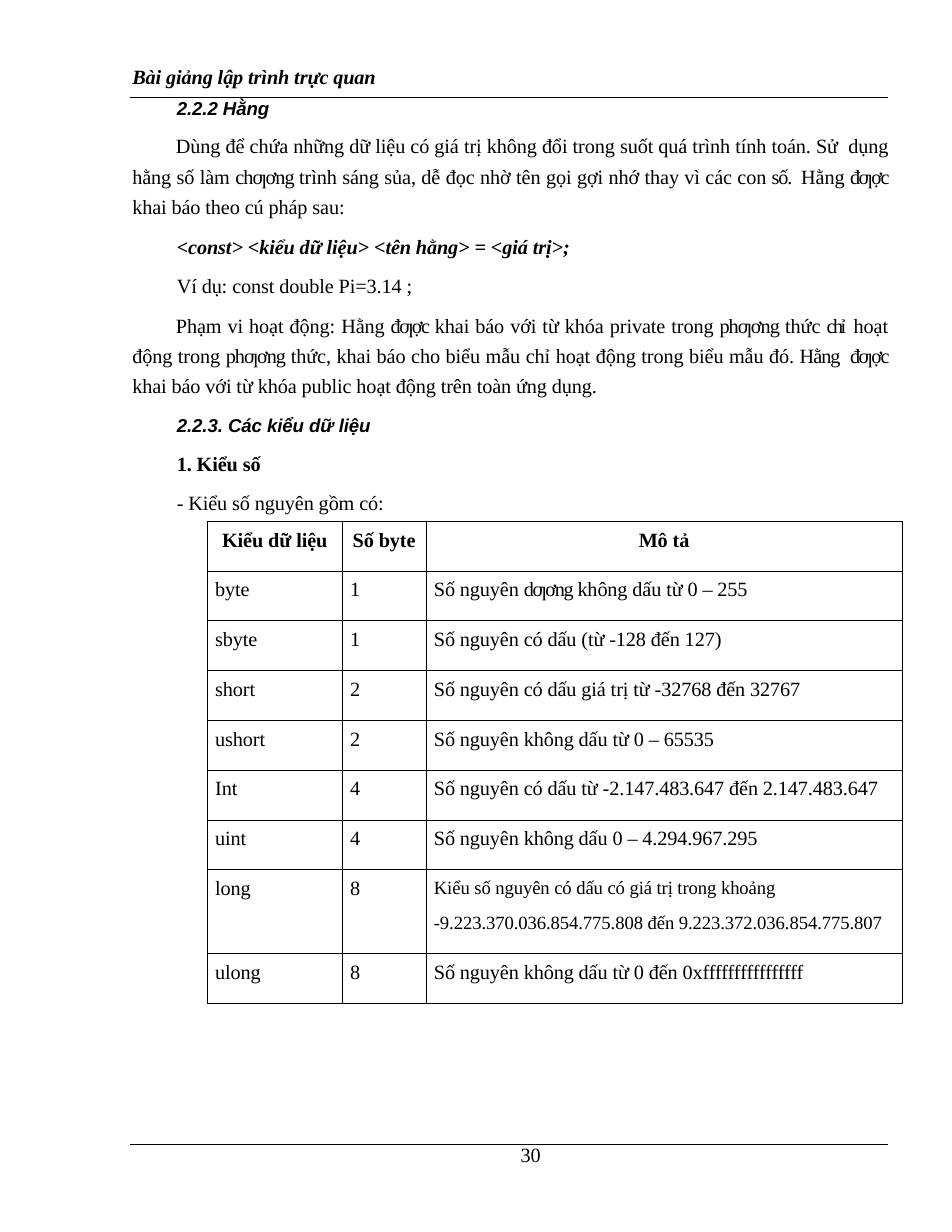
from lxml import etree
from pptx import Presentation
from pptx.dml.color import RGBColor
from pptx.enum.shapes import MSO_CONNECTOR
from pptx.enum.text import MSO_ANCHOR, MSO_AUTO_SIZE, PP_ALIGN
from pptx.oxml.ns import qn
from pptx.util import Cm, Pt

LEFT, CENTER, JUSTIFY = PP_ALIGN.LEFT, PP_ALIGN.CENTER, PP_ALIGN.JUSTIFY
TOP, NO_FIT = MSO_ANCHOR.TOP, MSO_AUTO_SIZE.NONE
STRAIGHT = MSO_CONNECTOR.STRAIGHT
COLORS = {"ink": "000000"}
INK = RGBColor.from_string(COLORS["ink"])
SERIF = {"name": "Times New Roman", "size": Pt(13), "bold": False, "italic": False}
BOLD = {**SERIF, "bold": True}
BOLD_ITALIC = {**BOLD, "italic": True}
SMALL = {**SERIF, "size": Pt(12)}
HEADING = {"name": "Arial", "size": Pt(12), "bold": True, "italic": True}
TRACKING = {"đƣợc ": -90, "chƣơng ": -60, "phƣơng ": -60, "dƣơng ": -80,
            "chỉ  ": -160, "số.  ": -70, "Hằng  ": -60}


def write(p, text, font, align=LEFT, before=0, spacing=1.0, margin=0, indent=0):
    pPr = p._p.get_or_add_pPr()
    pPr.set("marL", str(Cm(margin)))
    pPr.set("indent", str(Cm(indent)))
    etree.SubElement(pPr, qn("a:buNone"))
    layout = {"alignment": align, "space_before": Pt(before),
              "space_after": Pt(0), "line_spacing": spacing}
    for key, value in layout.items():
        setattr(p, key, value)
    for part in text.split("|"):
        r = p.add_run()
        r.text = part
        for key, value in font.items():
            setattr(r.font, key, value)
        r.font.color.rgb = INK
        r._r.get_or_add_rPr().set("spc", str(TRACKING.get(part, -5)))


def place(sp, left, top, width, height, inset_top=0):
    sp.left, sp.top, sp.width, sp.height = Cm(left), Cm(top), Cm(width), Cm(height)
    tf = sp.text_frame
    settings = {"margin_left": 0, "margin_right": 0, "margin_bottom": 0,
                "margin_top": Cm(inset_top), "word_wrap": True,
                "auto_size": NO_FIT, "vertical_anchor": TOP}
    for key, value in settings.items():
        setattr(tf, key, value)
    return tf


prs = Presentation()
prs.slide_width, prs.slide_height = Cm(21.59), Cm(27.94)
s = prs.slides.add_slide(prs.slide_layouts[1])

tf = place(s.shapes.title, 2.97, 1.22, 17.17, 0.95, 0.23)
write(tf.paragraphs[0], "Bài giảng lập trình trực quan", BOLD_ITALIC, margin=0.03)

LINE = {"margin": 1.04}
PROSE = {"margin": 0.03, "indent": 0.99, "spacing": 1.25, "align": JUSTIFY}
content = [
    ("2.2.2 Hằng", HEADING, 0, LINE),
    ("Dùng để chứa những dữ liệu có giá trị không đổi trong suốt quá trình tính toán. "
     "Sử  dụng hằng số làm |chƣơng |trình sáng sủa, dễ đọc nhờ tên gọi gợi nhớ thay vì "
     "các con |số.  |Hằng |đƣợc |khai báo theo cú pháp sau:", SERIF, 5.4, PROSE),
    ("<const> <kiểu dữ liệu> <tên hằng> = <giá trị>;", BOLD_ITALIC, 10.2, LINE),
    ("Ví dụ: const double Pi=3.14 ;", SERIF, 9.5, LINE),
    ("Phạm vi hoạt động: Hằng |đƣợc |khai báo với từ khóa private trong |phƣơng |thức "
     "|chỉ  |hoạt động trong |phƣơng |thức, khai báo cho biểu mẫu chỉ hoạt động trong "
     "biểu mẫu đó. |Hằng  |đƣợc |khai báo với từ khóa public hoạt động trên toàn ứng "
     "dụng.", SERIF, 6, PROSE),
    ("2.2.3. Các kiểu dữ liệu", HEADING, 10.2, LINE),
    ("1. Kiểu số", BOLD, 9.6, LINE),
    ("- Kiểu số nguyên gồm có:", SERIF, 9.4, LINE),
]
tf = place(s.placeholders[1], 2.97, 2.19, 17.17, 9.5)
for i, (text, font, before, layout) in enumerate(content):
    p = tf.add_paragraph() if i else tf.paragraphs[0]
    write(p, text, font, before=before, **layout)

for y in (2.22, 25.95):
    rule = s.shapes.add_connector(STRAIGHT, Cm(2.95), Cm(y), Cm(20.14), Cm(y))
    rule.line.color.rgb = INK
    rule.line.width = Pt(0.5)
    etree.SubElement(rule._element.spPr, qn("a:effectLst"))

rows = [
    ("Kiểu dữ liệu", "Số byte", "Mô tả"),
    ("byte", "1", "Số nguyên |dƣơng |không dấu từ 0 – 255"),
    ("sbyte", "1", "Số nguyên có dấu (từ -128 đến 127)"),
    ("short", "2", "Số nguyên có dấu giá trị từ -32768 đến 32767"),
    ("ushort", "2", "Số nguyên không dấu từ 0 – 65535"),
    ("Int", "4", "Số nguyên có dấu từ -2.147.483.647 đến 2.147.483.647"),
    ("uint", "4", "Số nguyên không dấu 0 – 4.294.967.295"),
    ("long", "8", "Kiểu số nguyên có dấu có giá trị trong khoảng\n"
                  "-9.223.370.036.854.775.808 đến 9.223.372.036.854.775.807"),
    ("ulong", "8", "Số nguyên không dấu từ 0 đến 0xffffffffffffffff"),
]
widths = [3.06, 1.9, 10.8]
heights = [1.9 if "\n" in row[2] else 1.13 for row in rows]
table = s.shapes.add_table(len(rows), len(widths), Cm(4.7), Cm(11.82),
                           Cm(sum(widths)), Cm(sum(heights))).table
table.first_row = table.horz_banding = False
for column, width in zip(table.columns, widths):
    column.width = Cm(width)
for i, (row, height) in enumerate(zip(rows, heights)):
    table.rows[i].height = Cm(height)
    for j, text in enumerate(row):
        cell = table.cell(i, j)
        tcPr = cell._tc.get_or_add_tcPr()
        for side in ("lnL", "lnR", "lnT", "lnB"):
            ln = etree.SubElement(tcPr, qn(f"a:{side}"), w=str(Pt(0.5)))
            fill = etree.SubElement(ln, qn("a:solidFill"))
            etree.SubElement(fill, qn("a:srgbClr"), val=COLORS["ink"])
        cell.fill.background()
        margins = {"margin_left": Cm(0.18 if i else 0), "margin_top": Cm(0.18),
                   "margin_right": 0, "margin_bottom": 0}
        for key, value in margins.items():
            setattr(cell, key, value)
        lines = text.split("\n")
        font = BOLD if i == 0 else SMALL if len(lines) > 1 else SERIF
        for n, line in enumerate(lines):
            p = cell.text_frame.add_paragraph() if n else cell.text_frame.paragraphs[0]
            write(p, line, font, LEFT if i else CENTER, before=9.5 if n else 0)

sp = s.shapes.add_textbox(0, 0, 0, 0)
tf = place(sp, 11.71, 25.91, 0.66, 0.58)
write(tf.paragraphs[0], "30", SERIF, spacing=Pt(15.2), margin=0.1)

prs.save("out.pptx")
